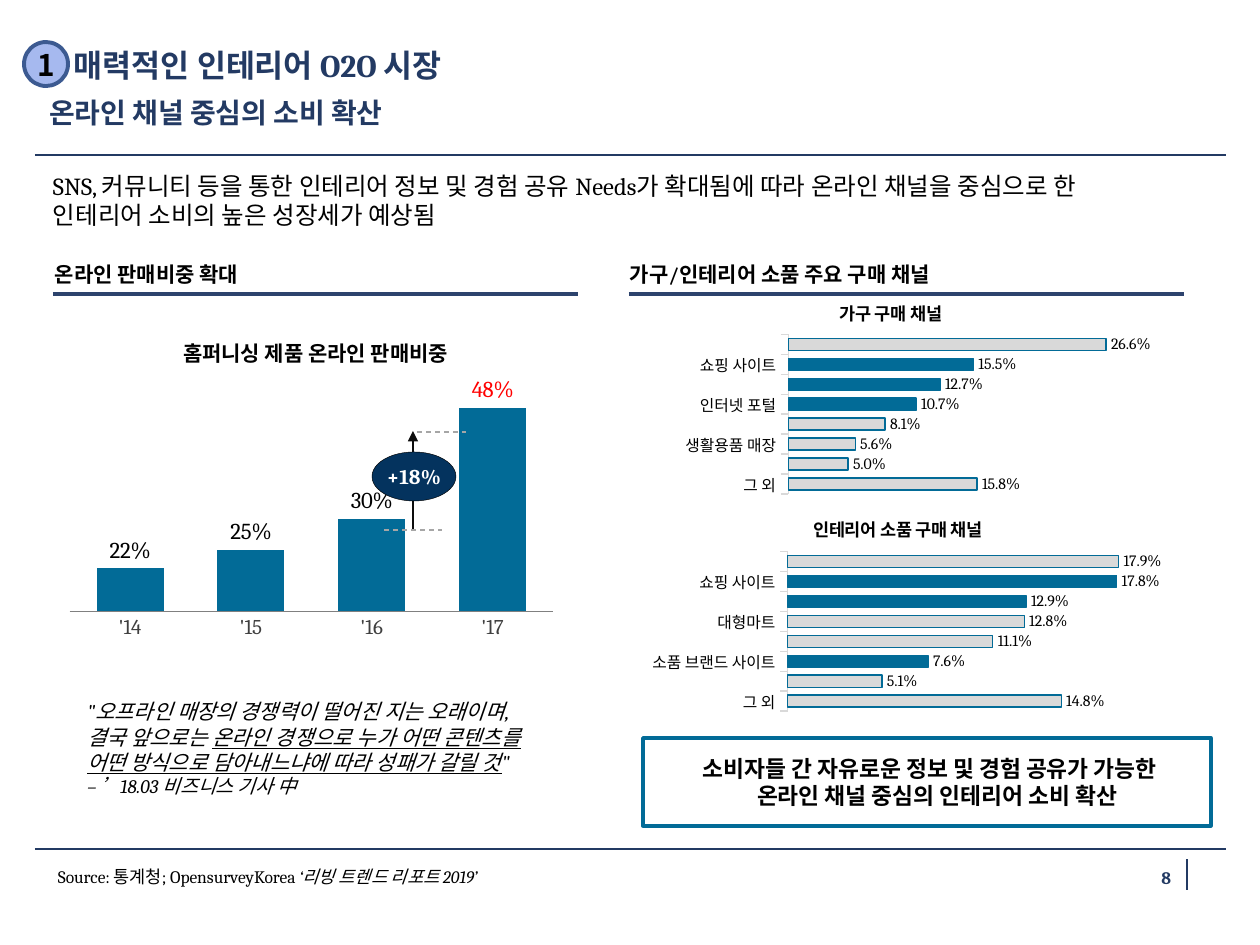
from dataclasses import dataclass, field
from typing import NamedTuple

from pptx import Presentation
from pptx.chart.data import CategoryChartData
from pptx.dml.color import RGBColor
from pptx.enum.chart import XL_CHART_TYPE, XL_LABEL_POSITION, XL_TICK_MARK
from pptx.enum.dml import MSO_LINE
from pptx.enum.shapes import MSO_CONNECTOR, MSO_SHAPE
from pptx.enum.text import MSO_ANCHOR, MSO_AUTO_SIZE, PP_ALIGN
from pptx.oxml import parse_xml
from pptx.oxml.ns import nsdecls, qn
from pptx.oxml.xmlchemy import OxmlElement
from pptx.util import Pt

COLUMN, BAR = XL_CHART_TYPE.COLUMN_CLUSTERED, XL_CHART_TYPE.BAR_CLUSTERED
OUTSIDE, OUT_TICK, NO_TICK = XL_LABEL_POSITION.OUTSIDE_END, XL_TICK_MARK.OUTSIDE, XL_TICK_MARK.NONE
STRAIGHT, DASH = MSO_CONNECTOR.STRAIGHT, MSO_LINE.DASH
OVAL, RECT = MSO_SHAPE.OVAL, MSO_SHAPE.RECTANGLE
TOP, MIDDLE, FIXED = MSO_ANCHOR.TOP, MSO_ANCHOR.MIDDLE, MSO_AUTO_SIZE.NONE
LEFT, CENTER, RIGHT = PP_ALIGN.LEFT, PP_ALIGN.CENTER, PP_ALIGN.RIGHT
SCALE = 914400 / 126
SERIF, SANS = "Cambria", "Noto Sans CJK KR"
BLACK, WHITE, NAVY, RULE = "000000", "FFFFFF", "233A63", "2D436D"
TEAL, PALE, GUIDE = "026B97", "D9D9D9", "A6A6A6"


class Piece(NamedTuple):
    text: str
    size: float
    color: str = BLACK
    bold: bool = False
    italic: bool = False
    underline: bool = False
    name: str = SERIF


class Rule(NamedTuple):
    x1: int
    y1: int
    x2: int
    y2: int
    color: str
    width: float
    dashed: bool = False
    arrow: bool = False


@dataclass
class Box:
    at: tuple
    pieces: list
    inset: tuple = (0, 0, 0, 0)
    anchor: MSO_ANCHOR = TOP
    align: PP_ALIGN = LEFT
    wrap: bool = True
    indent: tuple = (0, 0)
    spacing: float = 1.0


@dataclass
class Badge:
    kind: MSO_SHAPE
    fill: str
    line: str
    width: float
    box: Box


@dataclass
class Graph:
    kind: XL_CHART_TYPE
    at: tuple
    title: str
    title_size: int
    title_at: tuple
    plot: tuple
    cats: list
    vals: list
    axis: tuple
    gap: int
    fmt: str
    label_size: int
    cat_size: int
    cat_color: str
    cat_line: str
    tick: XL_TICK_MARK
    fill: str
    outlined: bool = True
    accents: tuple = ()
    label_colors: dict = field(default_factory=dict)


def px(n: int) -> int:
    return round(n * SCALE)


def rgb(value: str) -> RGBColor:
    return RGBColor.from_string(value)


def assign(obj, values: dict) -> None:
    for key, value in values.items():
        setattr(obj, key, value)


def style(font, size: float, color: str, **fmt) -> None:
    assign(font, {"name": SERIF, "size": Pt(size), **fmt})
    font.color.rgb = rgb(color)


def outline(line, color: str, width: float) -> None:
    line.color.rgb = rgb(color)
    line.width = Pt(width)


def write(sp, box: Box) -> None:
    tf = sp.text_frame
    sides = ("margin_left", "margin_top", "margin_right", "margin_bottom")
    assign(tf, {"word_wrap": box.wrap, "auto_size": FIXED, "vertical_anchor": box.anchor,
                **dict(zip(sides, map(px, box.inset)))})
    p = tf.paragraphs[0]
    assign(p, {"alignment": box.align, "line_spacing": box.spacing, "space_before": Pt(0)})
    pPr = p._p.get_or_add_pPr()
    for key, value in zip(("marL", "indent"), box.indent):
        pPr.set(key, str(px(value)))
    pPr.append(OxmlElement("a:buNone"))
    for piece in box.pieces:
        fmt = piece._asdict()
        for i, text in enumerate(fmt.pop("text").split("\n")):
            if i:
                p.add_line_break()
            if text:
                r = p.add_run()
                r.text = text
                style(r.font, **fmt)


def place(sp, box: Box) -> None:
    assign(sp, dict(zip(("left", "top", "width", "height"), map(px, box.at))))
    write(sp, box)


def draw_text(s, box: Box) -> None:
    write(s.shapes.add_textbox(*map(px, box.at)), box)


def draw_rule(s, rule: Rule) -> None:
    cx = s.shapes.add_connector(STRAIGHT, *map(px, rule[:4]))
    outline(cx.line, rule.color, rule.width)
    if rule.dashed:
        cx.line.dash_style = DASH
    if rule.arrow:
        tail = OxmlElement("a:tailEnd")
        tail.set("type", "triangle")
        cx.line._get_or_add_ln().append(tail)
    cx._element.spPr.append(OxmlElement("a:effectLst"))


def draw_badge(s, badge: Badge) -> None:
    sp = s.shapes.add_shape(badge.kind, *map(px, badge.box.at))
    sp.shadow.inherit = False
    sp.fill.solid()
    sp.fill.fore_color.rgb = rgb(badge.fill)
    outline(sp.line, badge.line, badge.width)
    write(sp, badge.box)


def set_layout(parent, index: int, **values) -> None:
    for old in parent.findall(qn("c:layout")):
        parent.remove(old)
    target = '<c:layoutTarget val="inner"/>' if "w" in values else ""
    modes = "".join(f'<c:{k}Mode val="edge"/>' for k in "xy")
    sizes = "".join(f'<c:{k} val="{v}"/>' for k, v in values.items())
    parent.insert(index, parse_xml(f'<c:layout {nsdecls("c")}><c:manualLayout>{target}{modes}'
                                   f'{sizes}</c:manualLayout></c:layout>'))


def paint(fmt, color: str, outlined: bool) -> None:
    fmt.fill.solid()
    fmt.fill.fore_color.rgb = rgb(color)
    if outlined:
        outline(fmt.line, TEAL, 0.75)


def draw_chart(s, g: Graph) -> None:
    data = CategoryChartData(number_format=g.fmt)
    data.categories = g.cats
    data.add_series(g.title, g.vals)
    chart = s.shapes.add_chart(g.kind, *map(px, g.at), data).chart
    style(chart.font, 10, BLACK)
    chart.has_legend = False
    r = chart.chart_title.text_frame.paragraphs[0].add_run()
    r.text = g.title
    style(r.font, g.title_size, BLACK, bold=True)
    set_layout(chart.chart_title._element, 1, **dict(zip("xy", g.title_at)))
    set_layout(chart._chartSpace.chart.plotArea, 0, **dict(zip("xywh", g.plot)))
    low, high = g.axis
    assign(chart.value_axis, {"visible": False, "has_major_gridlines": False,
                              "minimum_scale": low, "maximum_scale": high})
    cat = chart.category_axis
    assign(cat, {"major_tick_mark": g.tick, "minor_tick_mark": NO_TICK})
    style(cat.tick_labels.font, g.cat_size, g.cat_color)
    outline(cat.format.line, g.cat_line, 0.75)
    plot = chart.plots[0]
    assign(plot, {"gap_width": g.gap, "vary_by_categories": False})
    series = plot.series[0]
    series.invert_if_negative = False
    paint(series.format, g.fill, g.outlined)
    for i in g.accents:
        paint(series.points[i].format, TEAL, g.outlined)
    labels = series.data_labels
    assign(labels, {"show_value": True, "position": OUTSIDE, "number_format": g.fmt,
                    "number_format_is_linked": False})
    style(labels.font, g.label_size, BLACK)
    for i, color in g.label_colors.items():
        label = series.points[i].data_label
        style(label.font, g.label_size, color)
        label.position = OUTSIDE


def channels(at, title, title_at, plot, names, vals, high, accents) -> Graph:
    cats = [label for name in names for label in (name, "")]
    return Graph(BAR, at, title, 10, title_at, plot, cats, vals, (0, high), 65, "0.0%",
                 9, 9, BLACK, PALE, OUT_TICK, PALE, accents=accents)


TITLE = Box((53, 42, 897, 45), [Piece("매력적인 인테리어 O2O 시장", 18, NAVY, True)], (21, 0, 0, 0), MIDDLE)
SUBTITLE = Box((49, 96, 897, 54), [Piece("온라인 채널 중심의 소비 확산", 16, NAVY, True)])
RULES = [Rule(35, 155, 1226, 155, NAVY, 1), Rule(1187, 890, 1187, 859, NAVY, 1),
         Rule(35, 849, 1226, 849, NAVY, 1), Rule(53, 294, 578, 294, RULE, 2.25),
         Rule(629, 294, 1184, 294, RULE, 2.25)]
GROWTH = [Rule(413, 530, 413, 431, "0D0D0D", 1.5, arrow=True),
          Rule(417, 432, 466, 432, GUIDE, 0.75, True), Rule(384, 530, 442, 530, GUIDE, 0.75, True)]
TEXTS = [
    Box((1086, 859, 98, 37), [Piece("8", 10, NAVY, True)], (13, 6, 13, 6), MIDDLE, RIGHT),
    Box((53, 171, 1133, 86), [Piece("SNS, 커뮤니티 등을 통한 인테리어 정보 및 경험 공유 Needs가 확대됨에 따라 "
                                    "온라인 채널을 중심으로 한\n인테리어 소비의 높은 성장세가 예상됨", 14)]),
    Box((55, 255, 527, 39), [Piece("온라인 판매비중 확대", 12, bold=True)], anchor=MIDDLE),
    Box((630, 255, 527, 39), [Piece("가구/인테리어 소품 주요 구매 채널", 12, bold=True)], anchor=MIDDLE),
    Box((74, 693, 495, 115), [
        Piece('"오프라인 매장의 경쟁력이 떨어진 지는 오래이며,\n결국 앞으로는 ', 12, italic=True),
        Piece("온라인 경쟁으로 누가 어떤 콘텐츠를 어떤 방식으로 담아내느냐에 따라 성패가 갈릴 것", 12,
              italic=True, underline=True),
        Piece('"\n', 12, italic=True), Piece("– ’18.03 비즈니스 기사 中", 11, italic=True)], (13, 6, 13, 6)),
    Box((58, 866, 838, 37), [Piece("Source: 통계청; OpensurveyKorea ", 10),
                             Piece("‘리빙 트렌드 리포트 2019’", 10, italic=True)]),
]
CHARTS = [
    Graph(COLUMN, (54, 315, 522, 374), "홈퍼니싱 제품 온라인 판매비중", 12, (0.24, 0.04),
          (0.03, 0.215, 0.926, 0.578), ["'14", "'15", "'16", "'17"], [0.22, 0.25, 0.3, 0.48],
          (0.15, 0.5), 80, "0%", 13, 12, "404040", "808080", NO_TICK, TEAL, False,
          label_colors={3: "FF0000"}),
    channels((610, 295, 581, 215), "가구 구매 채널", (0.39, 0), (0.307, 0.183, 0.617, 0.743),
             ["그 외", "생활용품 매장", "인터넷 포털", "쇼핑 사이트"],
             [0.158, 0.05, 0.056, 0.081, 0.107, 0.127, 0.155, 0.266], 0.3, (4, 5, 6)),
    channels((571, 512, 630, 215), "인테리어 소품 구매 채널", (0.38, 0), (0.344, 0.184, 0.587, 0.743),
             ["그 외", "소품 브랜드 사이트", "대형마트", "쇼핑 사이트"],
             [0.148, 0.051, 0.076, 0.111, 0.128, 0.129, 0.178, 0.179], 0.2, (2, 5, 6)),
]
NUMBER = Badge(OVAL, "A6B9EF", "3C5A91", 2.25, Box(
    (24, 42, 44, 44), [Piece("1", 17, bold=True, name=SANS)], (6, 13, 6, 13), MIDDLE, CENTER, False,
    spacing=1.05))
CONCLUSION = Badge(RECT, WHITE, TEAL, 2, Box(
    (643, 738, 568, 88), [Piece("소비자들 간 자유로운 정보 및 경험 공유가 가능한\n온라인 채널 중심의 인테리어 소비 확산",
                                13, bold=True, name=SANS)],
    (5, 3, 5, 3), MIDDLE, CENTER, indent=(20, -15)))
INCREASE = Badge(OVAL, "04335E", BLACK, 0.25, Box(
    (372, 452, 84, 49), [Piece("+18%", 12, WHITE, True)], anchor=MIDDLE, align=CENTER))


def main() -> None:
    """Build the slide on the online interior market and save it."""
    prs = Presentation()
    prs.slide_width, prs.slide_height = px(1260), px(945)
    s = prs.slides.add_slide(prs.slide_layouts[1])
    place(s.shapes.title, TITLE)
    place(s.placeholders[1], SUBTITLE)
    for draw, items in ((draw_rule, RULES), (draw_chart, CHARTS), (draw_text, TEXTS),
                        (draw_badge, [NUMBER, CONCLUSION]), (draw_rule, GROWTH),
                        (draw_badge, [INCREASE])):
        for item in items:
            draw(s, item)
    prs.save("out.pptx")


if __name__ == "__main__":
    main()
